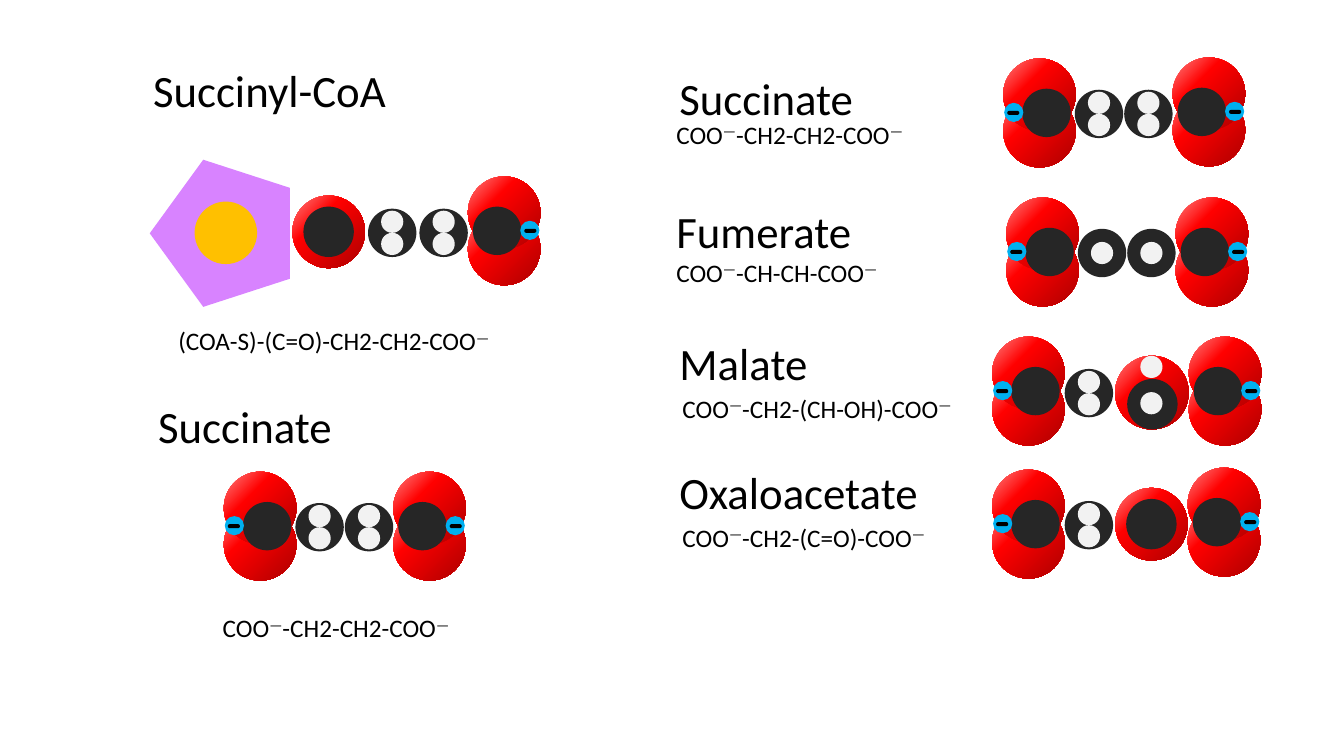
import itertools

import pptx
import pptx.dml.color
import pptx.enum.shapes
import pptx.enum.text
import pptx.oxml
import pptx.oxml.ns
import pptx.util

PX = 9144
SLIDE = (1333, 750)
FONT = "Calibri"
NAME_SIZE, FORMULA_SIZE = 32, 18
NAME_HEIGHT, FORMULA_HEIGHT = 64, 40

COLOURS = {
    "carbon": "262626",
    "hydrogen": "F2F2F2",
    "charge": "00B0F0",
    "minus": "000000",
    "coenzyme": "D883FF",
    "sulfur": "FFC000",
    "text": "000000",
}
OXYGEN_STOPS = {0: "AE0000", 65: "FF0000", 100: "FF8686"}

CARBOXYLATE_WIDTH = 72
UNITS = {
    "COO": [
        ("oxygen", 0, 36, 72, 72),
        ("oxygen", 0, 0, 72, 72),
        ("carbon", 5, 30, 48, 48),
        ("charge", 52, 44, 19, 19),
        ("minus", 56, 52, 12, 4),
    ],
    "CH2": [
        ("carbon", 0, 0, 48, 48),
        ("hydrogen", 13, 2, 22, 22),
        ("hydrogen", 13, 24, 22, 22),
    ],
    "CH": [("carbon", 0, 0, 48, 48), ("hydrogen", 13, 13, 22, 22)],
    "C=O": [("oxygen", 0, 0, 72, 72), ("carbon", 11, 11, 50, 50)],
    "CH-OH": [
        ("oxygen", 0, 0, 73, 73),
        ("carbon", 12, 23, 50, 50),
        ("hydrogen", 25, 0, 22, 22),
        ("hydrogen", 25, 36, 22, 22),
    ],
    "CoA-S": [("coenzyme", 0, 0, 146, 139), ("sulfur", 48, 38, 62, 62)],
}
UNITS["OOC"] = [
    (atom, CARBOXYLATE_WIDTH - x - w, y, w, h) for atom, x, y, w, h in UNITS["COO"]
]

MOLECULES = [
    {
        "name": ("Succinyl-CoA", 142, 57, 254),
        "formula": ("(COA-S)-(C=O)-CH2-CH2-COO—", 167, 318, 334),
        "units": [("CH2", 365, 207), ("COO", 464, 175), ("CH2", 416, 207),
                  ("C=O", 290, 194), ("CoA-S", 145, 162)],
    },
    {
        "name": ("Succinate", 147, 391, 194),
        "formula": ("COO—-CH2-CH2-COO—", 211, 603, 259),
        "units": [("COO", 390, 468), ("OOC", 222, 468), ("CH2", 342, 499),
                  ("CH2", 293, 499)],
    },
    {
        "name": ("Succinate", 664, 65, 194),
        "formula": ("COO—-CH2-CH2-COO—", 661, 113, 259),
        "units": [("OOC", 995, 58), ("COO", 1163, 57), ("CH2", 1115, 89),
                  ("CH2", 1066, 89)],
    },
    {
        "name": ("Fumerate", 661, 197, 195),
        "formula": ("COO—-CH-CH-COO—", 661, 250, 226),
        "units": [("COO", 1166, 196), ("CH", 1069, 227), ("OOC", 998, 196),
                  ("CH", 1118, 227)],
    },
    {
        "name": ("Malate", 664, 328, 148),
        "formula": ("COO—-CH2-(CH-OH)-COO—", 667, 385, 294),
        "units": [("COO", 1179, 334), ("OOC", 984, 334), ("CH-OH", 1106, 353),
                  ("CH2", 1056, 366)],
    },
    {
        "name": ("Oxaloacetate", 664, 456, 259),
        "formula": ("COO—-CH2-(C=O)-COO—", 667, 513, 267),
        "units": [("CH2", 1056, 497), ("C=O", 1106, 484), ("COO", 1178, 464),
                  ("OOC", 984, 466)],
    },
]


def emu(*lengths):
    return [length * PX for length in lengths]


def rgb(part):
    return pptx.dml.color.RGBColor.from_string(COLOURS[part])


def fill_oxygen(oxygen):
    oxygen.fill.background()
    stops = "".join(
        f'<a:gs pos="{share * 1000}"><a:srgbClr val="{colour}"/></a:gs>'
        for share, colour in OXYGEN_STOPS.items()
    )
    gradient = pptx.oxml.parse_xml(
        f'<a:gradFill {pptx.oxml.ns.nsdecls("a")} rotWithShape="1">'
        f'<a:gsLst>{stops}</a:gsLst><a:path path="circle">'
        '<a:fillToRect l="100000" t="100000"/></a:path></a:gradFill>'
    )
    properties = oxygen._element.spPr
    properties.replace(properties.find(pptx.oxml.ns.qn("a:noFill")), gradient)


def add_unit(slide, unit, left, top):
    presets = pptx.enum.shapes.MSO_SHAPE
    outlines = {"minus": presets.ROUNDED_RECTANGLE, "coenzyme": presets.REGULAR_PENTAGON}
    group = slide.shapes.add_group_shape()
    for part, x, y, width, height in UNITS[unit]:
        atom = group.shapes.add_shape(
            outlines.get(part, presets.OVAL), *emu(left + x, top + y, width, height)
        )
        atom.shadow.inherit = False
        atom.line.fill.background()
        if part == "oxygen":
            fill_oxygen(atom)
        else:
            atom.fill.solid()
            atom.fill.fore_color.rgb = rgb(part)
        if part == "minus":
            atom.adjustments[0] = 0.5
        if part == "coenzyme":
            atom.rotation = 90
            atom._element.spPr.xfrm.set("flipV", "1")
        if unit == "OOC":
            atom._element.spPr.xfrm.set("flipH", "1")


def add_label(slide, label, height, size):
    text, left, top, width = label
    frame = slide.shapes.add_textbox(*emu(left, top, width, height)).text_frame
    frame_format = {
        "word_wrap": False,
        "auto_size": pptx.enum.text.MSO_AUTO_SIZE.SHAPE_TO_FIT_TEXT,
    }
    for attribute, value in frame_format.items():
        setattr(frame, attribute, value)
    for raised, letters in itertools.groupby(text, lambda letter: letter == "—"):
        run = frame.paragraphs[0].add_run()
        run.text = "".join(letters)
        for attribute, value in {"name": FONT, "size": pptx.util.Pt(size)}.items():
            setattr(run.font, attribute, value)
        run.font.color.rgb = rgb("text")
        if raised:
            run.font._element.set("baseline", "30000")


def main():
    deck = pptx.Presentation()
    deck.slide_width, deck.slide_height = emu(*SLIDE)
    slide = deck.slides.add_slide(deck.slide_layouts.get_by_name("Blank"))
    for molecule in MOLECULES:
        add_label(slide, molecule["name"], NAME_HEIGHT, NAME_SIZE)
        add_label(slide, molecule["formula"], FORMULA_HEIGHT, FORMULA_SIZE)
        for unit in molecule["units"]:
            add_unit(slide, *unit)
    deck.save("out.pptx")


if __name__ == "__main__":
    main()
